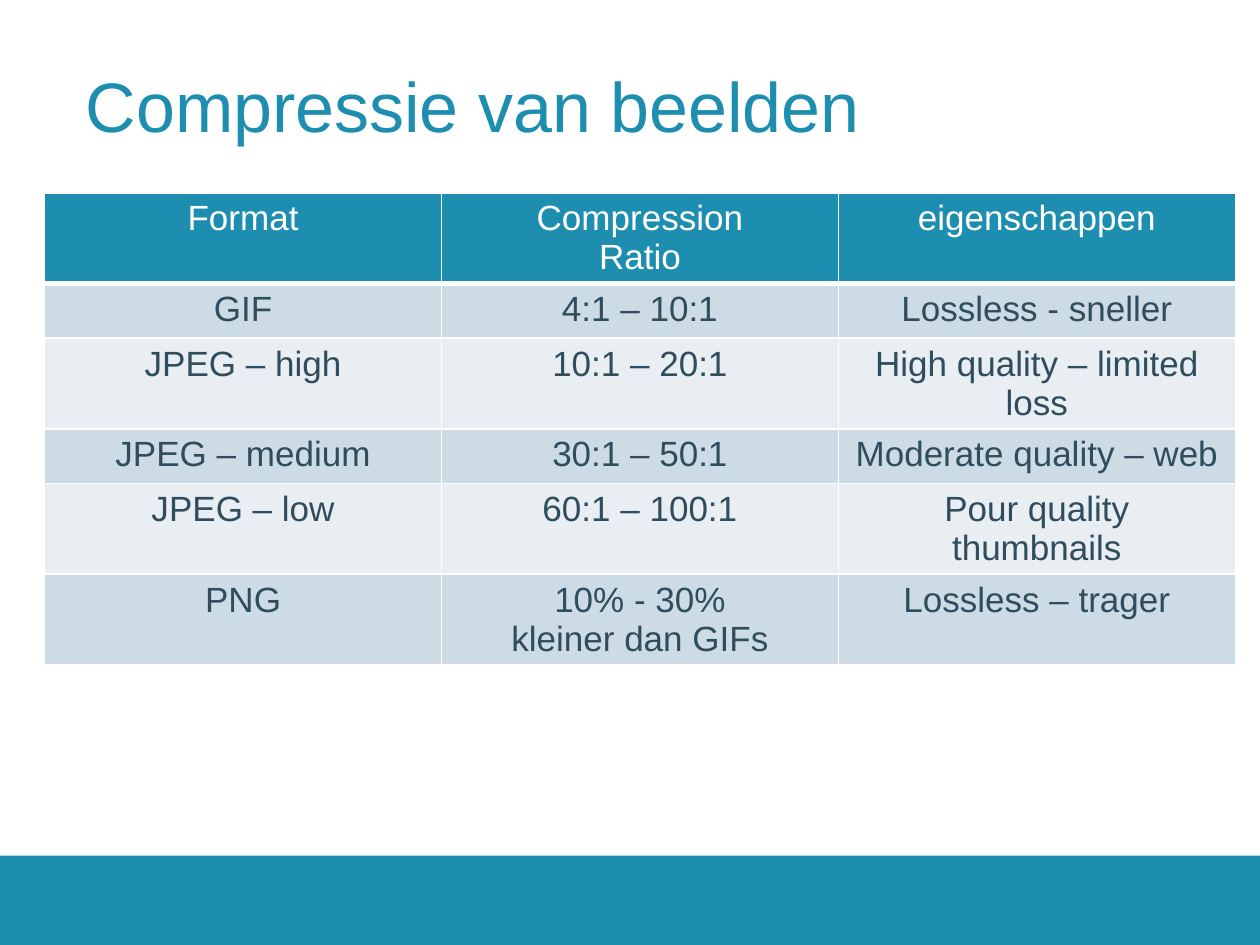
"""Build a slide with a table that compares image compression formats."""
import dataclasses

import lxml.etree
import pptx
import pptx.dml.color
import pptx.enum.shapes
import pptx.enum.text
import pptx.oxml.ns
import pptx.util

Pt = pptx.util.Pt
Align = pptx.enum.text.PP_ALIGN
Anchor = pptx.enum.text.MSO_ANCHOR


@dataclasses.dataclass(frozen=True)
class Theme:
    """Colours, font and type sizes of the slide."""

    accent: str = "1D8DB0"
    text: str = "2F4D5D"
    light: str = "FFFFFF"
    odd_row: str = "CDDBE4"
    even_row: str = "E8EEF2"
    font: str = "Arial"
    title_size: int = 40
    table_size: int = 20


THEME = Theme()

ROWS = [
    ("Format", "Compression\nRatio", "eigenschappen"),
    ("GIF", "4:1 – 10:1", "Lossless - sneller"),
    ("JPEG – high", "10:1 – 20:1", "High quality – limited loss"),
    ("JPEG – medium", "30:1 – 50:1", "Moderate quality – web"),
    ("JPEG – low", "60:1 – 100:1", "Pour quality\vthumbnails"),
    ("PNG", "10% - 30%\nkleiner dan GIFs", "Lossless – trager"),
]


def rgb(value):
    """Turn a hex string into a colour."""
    return pptx.dml.color.RGBColor.from_string(value)


def format_text(text_frame, size, color, alignment):
    """Give every paragraph of a text frame its type and alignment."""
    for paragraph in text_frame.paragraphs:
        paragraph.alignment = alignment
        for run in paragraph.runs:
            run.font.name = THEME.font
            run.font.size = Pt(size)
            run.font.bold = False
            run.font.color.rgb = rgb(color)


def add_band(slide):
    """Draw the coloured band along the foot of the slide."""
    band = slide.shapes.add_shape(
        pptx.enum.shapes.MSO_SHAPE.RECTANGLE, Pt(0), Pt(488.9), Pt(720), Pt(51.1))
    band.shadow.inherit = False
    band.fill.solid()
    band.fill.fore_color.rgb = rgb(THEME.accent)
    band.line.fill.background()


def set_title(slide, text):
    """Place and format the title placeholder."""
    title = slide.shapes.title
    title.left, title.top, title.width, title.height = Pt(45.4), Pt(17.3), Pt(629.3), Pt(90.7)
    frame = title.text_frame
    frame.text = text
    frame.word_wrap = True
    frame.auto_size = pptx.enum.text.MSO_AUTO_SIZE.NONE
    frame.vertical_anchor = Anchor.MIDDLE
    frame.margin_left = frame.margin_right = Pt(3.6)
    frame.margin_top = frame.margin_bottom = Pt(3.6)
    frame.paragraphs[0].line_spacing = 0.9
    format_text(frame, THEME.title_size, THEME.accent, Align.LEFT)


def set_borders(cell, bottom_width):
    """Add light borders to a cell, with its own width at the bottom."""
    qn = pptx.oxml.ns.qn
    properties = cell._tc.get_or_add_tcPr()
    for side, width in (("L", 1), ("R", 1), ("T", 1), ("B", bottom_width)):
        line = lxml.etree.SubElement(properties, qn(f"a:ln{side}"), w=str(Pt(width)))
        fill = lxml.etree.SubElement(line, qn("a:solidFill"))
        lxml.etree.SubElement(fill, qn("a:srgbClr"), val=THEME.light)


def format_cell(cell, text, row_index):
    """Fill a cell with text and the style of its row."""
    is_header = row_index == 0
    row_fill = THEME.odd_row if row_index % 2 else THEME.even_row
    set_borders(cell, 3 if is_header else 1)
    cell.fill.solid()
    cell.fill.fore_color.rgb = rgb(THEME.accent if is_header else row_fill)
    cell.text_frame.text = text
    color = THEME.light if is_header else THEME.text
    format_text(cell.text_frame, THEME.table_size, color, Align.CENTER)


def add_table(slide, rows):
    """Add the table; rows with two lines grow to fit."""
    row_height = Pt(31.2)
    table = slide.shapes.add_table(
        len(rows), len(rows[0]), Pt(25.5), Pt(110.2), Pt(680.4), row_height * len(rows)).table
    for row_index, texts in enumerate(rows):
        table.rows[row_index].height = row_height
        for column_index, text in enumerate(texts):
            format_cell(table.cell(row_index, column_index), text, row_index)


def main():
    """Build and save the presentation."""
    presentation = pptx.Presentation()
    presentation.slide_width, presentation.slide_height = Pt(720), Pt(540)
    slide = presentation.slides.add_slide(presentation.slide_layouts.get_by_name("Title Only"))
    add_band(slide)
    set_title(slide, "Compressie van beelden")
    add_table(slide, ROWS)
    presentation.save("out.pptx")


if __name__ == "__main__":
    main()
